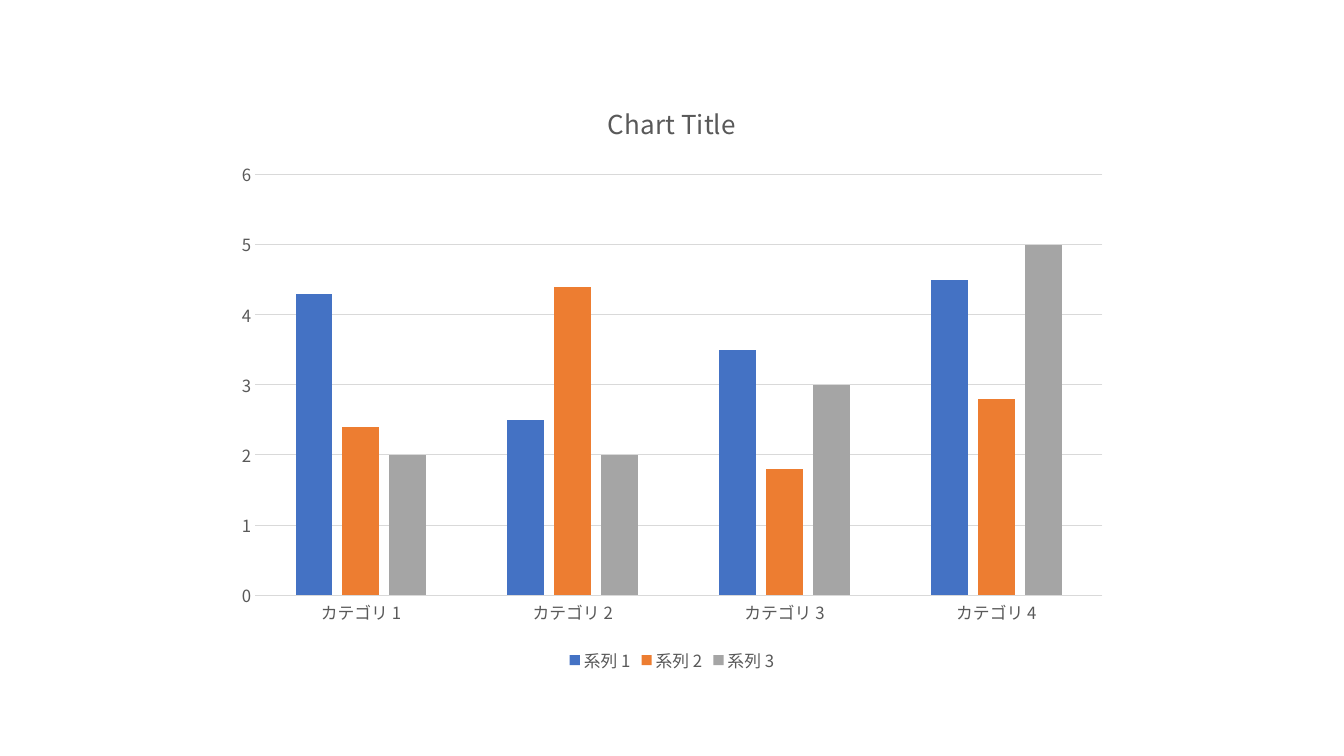
from lxml.etree import SubElement
from pptx import Presentation
from pptx.chart.data import CategoryChartData
from pptx.dml.color import RGBColor
from pptx.enum.chart import XL_CHART_TYPE as ChartType, XL_LEGEND_POSITION as LegendPosition, XL_TICK_MARK as TickMark
from pptx.oxml.ns import qn
from pptx.util import Inches, Pt

TITLE = "Chart Title"
CATEGORIES = [f"カテゴリ {number}" for number in range(1, 5)]
SERIES = [
    ("系列 1", (4.3, 2.5, 3.5, 4.5), "blue"),
    ("系列 2", (2.4, 4.4, 1.8, 2.8), "orange"),
    ("系列 3", (2, 2, 3, 5), "gray"),
]
COLORS = {
    "blue": "4472C4",
    "orange": "ED7D31",
    "gray": "A5A5A5",
    "text": "595959",
    "line": "D9D9D9",
}
FONT = "Noto Sans CJK JP"
WIDTH, HEIGHT = Inches(13.33), Inches(7.5)
CHART_WIDTH, CHART_HEIGHT = Inches(8.89), Inches(5.93)


def color(name):
    return RGBColor.from_string(COLORS[name])


def style_font(font, size=12, fill="text", bold=False):
    font.size, font.bold, font.name = Pt(size), bold, FONT
    font.color.rgb = color(fill)


def write_text(frame, text, **style):
    frame.text = text
    run = frame.paragraphs[0].runs[0]
    style_font(run.font, **style)
    SubElement(run.font._element, qn("a:ea"), typeface=FONT)


def style_line(line):
    line.color.rgb = color("line")
    line.width = Pt(0.75)


presentation = Presentation()
presentation.slide_width, presentation.slide_height = WIDTH, HEIGHT
slide = presentation.slides.add_slide(presentation.slide_layouts[6])

data = CategoryChartData()
data.categories = CATEGORIES
for name, values, fill in SERIES:
    data.add_series(name, values)

chart = slide.shapes.add_chart(
    ChartType.COLUMN_CLUSTERED,
    (WIDTH - CHART_WIDTH) // 2, (HEIGHT - CHART_HEIGHT) // 2,
    CHART_WIDTH, CHART_HEIGHT, data,
).chart
style_font(chart.font)
SubElement(chart.font._element, qn("a:ea"), typeface=FONT)

chart.has_title = True
write_text(chart.chart_title.text_frame, TITLE, size=18.6)
chart.chart_title.include_in_layout = False

chart.has_legend = True
chart.legend.position = LegendPosition.BOTTOM
chart.legend.include_in_layout = False
style_font(chart.legend.font)

for axis in (chart.category_axis, chart.value_axis):
    axis.major_tick_mark = axis.minor_tick_mark = TickMark.NONE
    style_font(axis.tick_labels.font)
style_line(chart.category_axis.format.line)
chart.value_axis.format.line.fill.background()
chart.value_axis.minimum_scale, chart.value_axis.maximum_scale = 0, 6
chart.value_axis.major_unit = 1
style_line(chart.value_axis.major_gridlines.format.line)

plot = chart.plots[0]
plot.gap_width, plot.overlap = 219, -27
plot.vary_by_categories = False
for series, (name, values, fill) in zip(plot.series, SERIES):
    series.format.fill.solid()
    series.format.fill.fore_color.rgb = color(fill)
    series.invert_if_negative = False

presentation.save("out.pptx")
